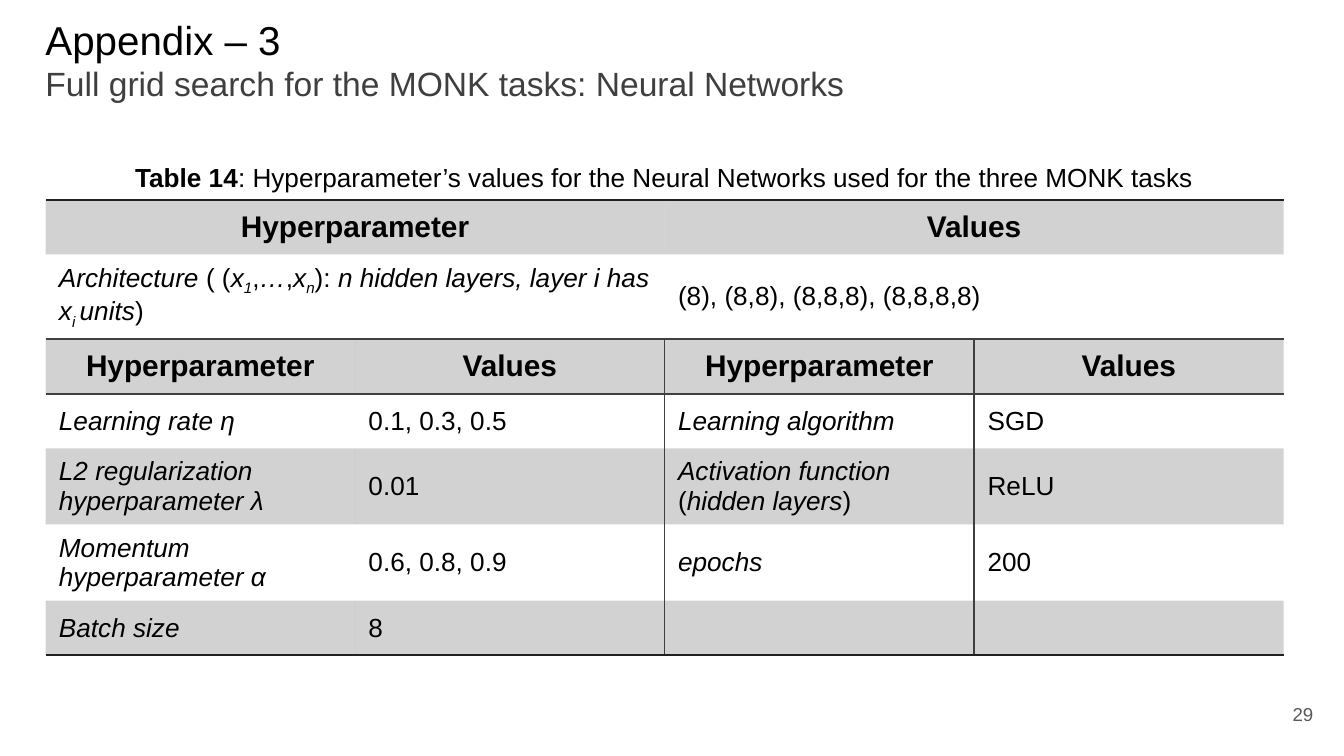
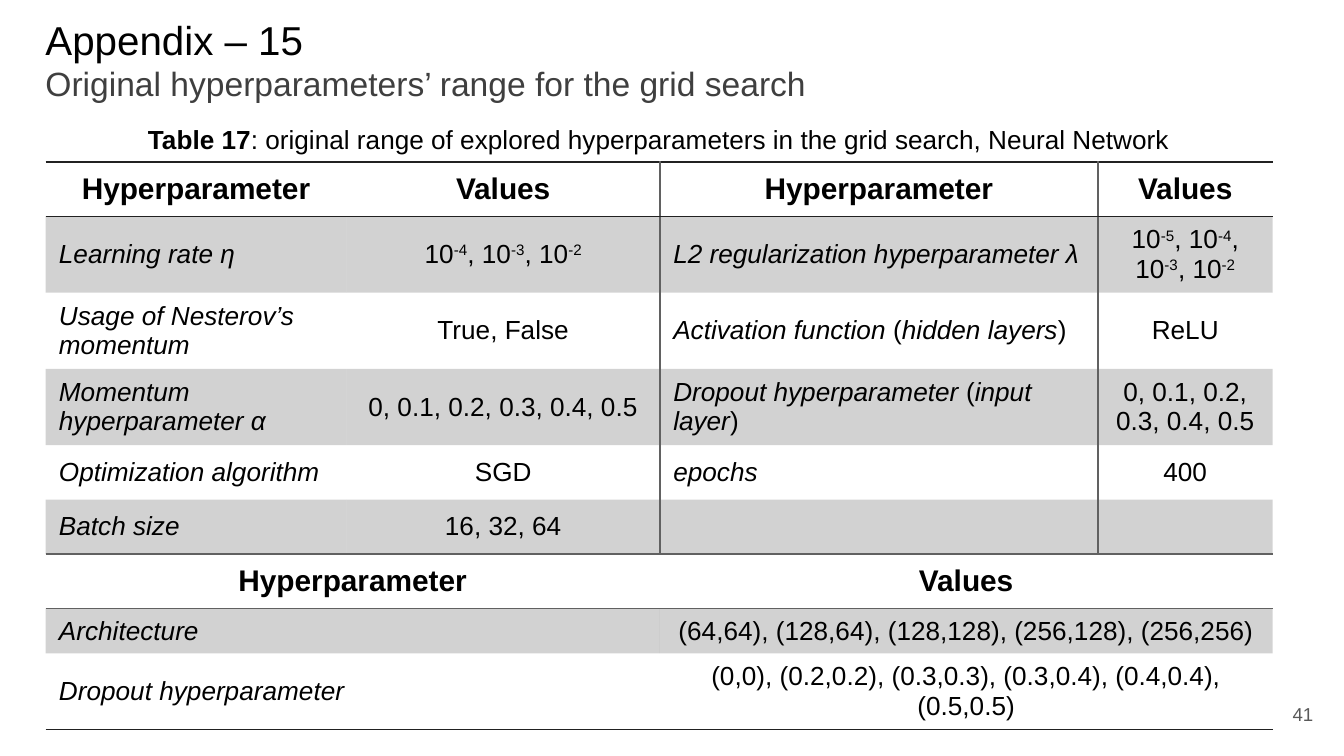
from lxml.etree import SubElement
from pptx import Presentation
from pptx.dml.color import RGBColor
from pptx.enum.text import MSO_ANCHOR as Anchor, PP_ALIGN as Align
from pptx.oxml.ns import qn
from pptx.util import Cm, Pt

BLACK = RGBColor(0x00, 0x00, 0x00)
INK = RGBColor(0x21, 0x21, 0x21)
DARK = RGBColor(0x3F, 0x3F, 0x3F)
NUMBER_GREY = RGBColor(0x59, 0x59, 0x59)
RULE_GREY = RGBColor(0x61, 0x61, 0x61)

FONT = "Arial"
NO_STYLE = "{2D5ABB26-0587-4C30-8999-92F81FD0307C}"
LEFT = 0.86
HEADER = ("Hyperparameter", "Values")
ONE_LINE, TWO_LINES = 1.03, 1.37

MONK = dict(
    columns=[5.85] * 4,
    heights=[ONE_LINE, 1.51, ONE_LINE, ONE_LINE, TWO_LINES, TWO_LINES, ONE_LINE],
    rows=[
        HEADER,
        ("*Architecture *( (*x_1_*,*…*,*x_n_*): *n hidden layers, layer i has x_i _units*)",
         "(8), (8,8), (8,8,8), (8,8,8,8)"),
        HEADER * 2,
        ("*Learning rate η*", "0.1, 0.3, 0.5", "*Learning algorithm*", "SGD"),
        ("*L2 regularization hyperparameter λ*", "0.01",
         "*Activation function *(*hidden layers*)", "ReLU"),
        ("*Momentum hyperparameter α*", "0.6, 0.8, 0.9", "*epochs*", "200"),
        ("*Batch size*", "8", "", ""),
    ],
    first_shaded=0,
    rules={0: INK, 2: DARK, 3: DARK, 7: INK},
    divider=DARK,
    value_align=Align.LEFT,
)

GRID_SEARCH = dict(
    columns=[5.69, 5.92, 8.28, 3.3],
    heights=[ONE_LINE] + [TWO_LINES] * 3 + [ONE_LINE] * 3 + [0.8, TWO_LINES],
    rows=[
        HEADER * 2,
        ("*Learning rate η*", "10^-4^, 10^-3^, 10^-2^",
         "*L2 regularization hyperparameter λ*", "10^-5^, 10^-4^, 10^-3^, 10^-2^"),
        ("*Usage of Nesterov’s momentum*", "True, False",
         "*Activation function *(*hidden layers*)", "ReLU"),
        ("*Momentum hyperparameter α*", "0, 0.1, 0.2, 0.3, 0.4, 0.5",
         "*Dropout hyperparameter *(*input layer*)", "0, 0.1, 0.2, 0.3, 0.4, 0.5"),
        ("*Optimization algorithm*", "SGD", "*epochs*", "400"),
        ("*Batch size*", "16, 32, 64", "", ""),
        HEADER,
        ("*Architecture*", "(64,64), (128,64), (128,128), (256,128), (256,256)"),
        ("*Dropout hyperparameter*",
         "(0,0), (0.2,0.2), (0.3,0.3), (0.3,0.4), (0.4,0.4), (0.5,0.5)"),
    ],
    first_shaded=1,
    rules={0: INK, 1: INK, 6: RULE_GREY, 7: RULE_GREY, 9: INK},
    divider=RULE_GREY,
    value_align=Align.CENTER,
)


def write(paragraph, text, size, color=BLACK, align=Align.LEFT):
    """Write text in which # toggles bold, * italic, _ subscript and ^ superscript."""
    paragraph.alignment = align
    font = paragraph.font
    font.name, font.size, font.color.rgb = FONT, Pt(size), color
    on = dict.fromkeys("#*_^", False)
    piece = ""
    for char in text + "\0":
        if char not in on and char != "\0":
            piece += char
            continue
        if piece:
            run = paragraph.add_run()
            run.text = piece
            run.font.bold, run.font.italic = on["#"], on["*"]
            if on["_"] or on["^"]:
                run.font._element.set("baseline", "-25000" if on["_"] else "30000")
            piece = ""
        if char in on:
            on[char] = not on[char]


def add_text_frame(slide, box, anchor, insets):
    frame = slide.shapes.add_textbox(*map(Cm, box)).text_frame
    frame.word_wrap = True
    frame.vertical_anchor = anchor
    frame.margin_left = frame.margin_right = Cm(insets[0])
    frame.margin_top = frame.margin_bottom = Cm(insets[1])
    return frame


def add_heading(slide, box, title, subtitle):
    heading = add_text_frame(slide, box, Anchor.BOTTOM, (0, 0.25))
    write(heading.paragraphs[0], title, 21.6)
    write(heading.add_paragraph(), subtitle, 18, DARK)


def add_page_number(slide, box, number):
    frame = add_text_frame(slide, box, Anchor.MIDDLE, (0.25, 0.25))
    write(frame.paragraphs[0], str(number), 10, NUMBER_GREY, Align.RIGHT)


def add_caption(slide, box, text):
    frame = add_text_frame(slide, box, Anchor.TOP, (0.25, 0.13))
    write(frame.paragraphs[0], text, 14, align=Align.CENTER)


def draw_borders(cell, sides):
    """Draw the coloured sides (left, right, top, bottom); None leaves a side bare."""
    properties = cell._tc.get_or_add_tcPr()
    for tag, color in zip(("lnL", "lnR", "lnT", "lnB"), sides):
        line = SubElement(properties, qn(f"a:{tag}"), w=str(Pt(1)))
        if color is None:
            SubElement(line, qn("a:noFill"))
        else:
            fill = SubElement(line, qn("a:solidFill"))
            SubElement(fill, qn("a:srgbClr"), val=str(color))


def shade(cell, shaded):
    if not shaded:
        cell.fill.background()
        return
    cell.fill.solid()
    cell.fill.fore_color.rgb = INK
    tint = cell._tc.tcPr.find(qn("a:solidFill")).find(qn("a:srgbClr"))
    SubElement(tint, qn("a:alpha"), val="20000")


def add_parameter_table(slide, left, top, columns, heights, rows, first_shaded,
                        rules, divider, value_align):
    """Rows of two texts span two columns each; rules are keyed by the row below them."""
    frame = slide.shapes.add_table(len(rows), len(columns), Cm(left), Cm(top),
                                   Cm(sum(columns)), Cm(sum(heights)))
    table = frame.table
    table.first_row = table.horz_banding = False
    table._tbl.tblPr.find(qn("a:tableStyleId")).text = NO_STYLE
    for column, width in zip(table.columns, columns):
        column.width = Cm(width)
    for row, height in zip(table.rows, heights):
        row.height = Cm(height)

    for r, texts in enumerate(rows):
        span = len(columns) // len(texts)
        dividers = {2: divider, 3: divider} if span == 1 else {}
        for c in range(len(columns)):
            cell = table.cell(r, c)
            draw_borders(cell, (dividers.get(c), dividers.get(c + 1),
                                rules.get(r), rules.get(r + 1)))
            shade(cell, r % 2 == first_shaded)
            cell.vertical_anchor = Anchor.MIDDLE
        for i, text in enumerate(texts):
            cell = table.cell(r, i * span)
            if span > 1:
                cell.merge(table.cell(r, i * span + span - 1))
            paragraph = cell.text_frame.paragraphs[0]
            if text in HEADER:
                write(paragraph, f"#{text}#", 16, align=Align.CENTER)
            else:
                write(paragraph, text, 14, align=value_align if i % 2 else Align.LEFT)


def add_appendix_slide(deck, number, title, subtitle, caption, table_top, content):
    slide = deck.slides.add_slide(deck.slide_layouts[6])
    add_heading(slide, (LEFT, 0, 23.67, 2.21), title, subtitle)
    add_page_number(slide, (23.55, 12.95, 1.52, 1.09), number)
    add_parameter_table(slide, LEFT, table_top, **content)
    add_caption(slide, (LEFT, table_top - 0.86, sum(content["columns"]), 0.86), caption)


def main():
    deck = Presentation()
    deck.slide_width, deck.slide_height = Cm(25.4), Cm(14.29)
    add_appendix_slide(
        deck, 29, "Appendix – 3", "Full grid search for the MONK tasks: Neural Networks",
        "#Table 14#: Hyperparameter’s values for the Neural Networks used for the three MONK tasks",
        3.78, MONK)
    add_appendix_slide(
        deck, 41, "Appendix – 15", "Original hyperparameters’ range for the grid search",
        "#Table 17#: original range of explored hyperparameters in the grid search, Neural Network",
        3.06, GRID_SEARCH)
    deck.save("out.pptx")


if __name__ == "__main__":
    main()
